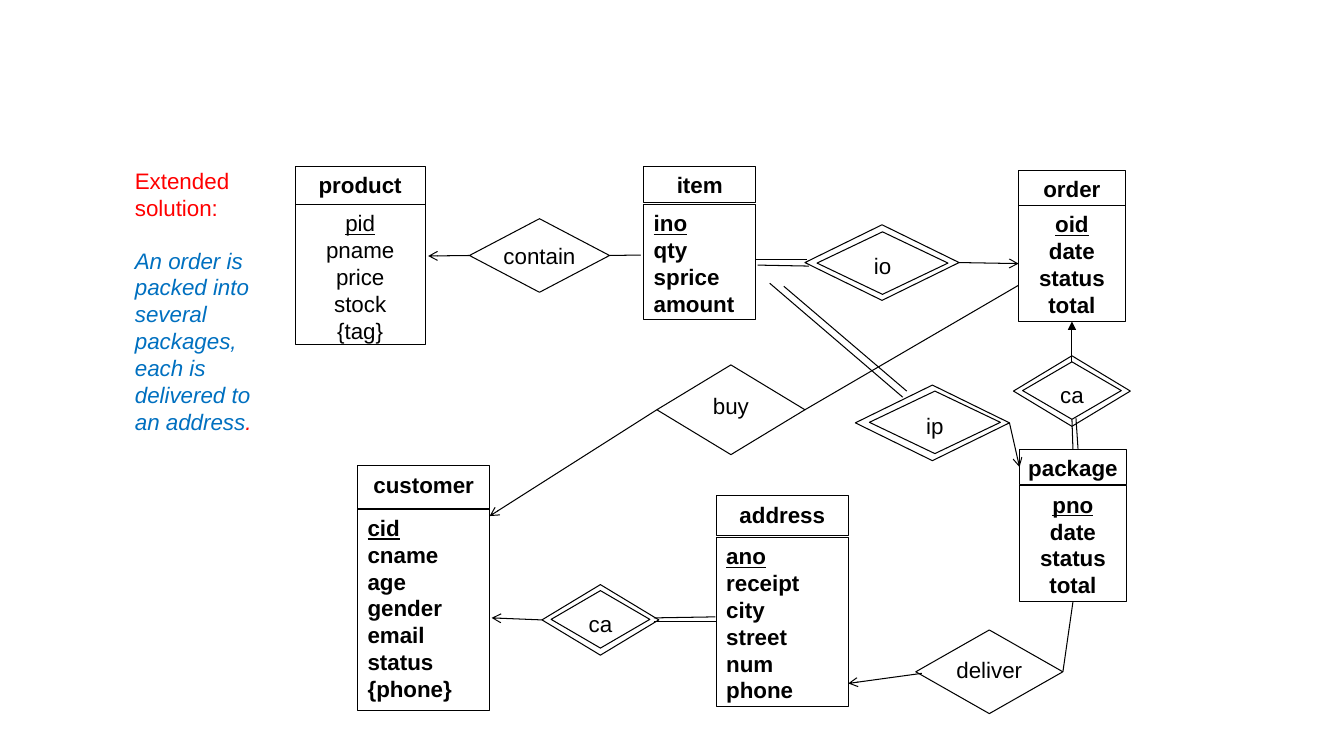
"""Build an entity-relationship diagram slide for orders, packages and addresses."""
from dataclasses import dataclass

from lxml import etree
from pptx import Presentation
from pptx.dml.color import RGBColor
from pptx.enum.shapes import MSO_CONNECTOR, MSO_SHAPE
from pptx.enum.text import MSO_ANCHOR, MSO_AUTO_SIZE, PP_ALIGN
from pptx.oxml.ns import qn
from pptx.util import Inches, Pt

RECTANGLE = MSO_SHAPE.RECTANGLE
DIAMOND = MSO_SHAPE.DIAMOND
STRAIGHT = MSO_CONNECTOR.STRAIGHT
TOP_ANCHOR = MSO_ANCHOR.TOP
GROW = MSO_AUTO_SIZE.SHAPE_TO_FIT_TEXT
LEFT_ALIGN, CENTER_ALIGN = PP_ALIGN.LEFT, PP_ALIGN.CENTER
TOP, LEFT, BOTTOM, RIGHT = range(4)
PX = Inches(1) // 100
SLIDE_SIZE = (1334, 750)


@dataclass(frozen=True)
class Theme:
    font: str = "Arial"
    size: float = 16
    gap: float = 18.4
    line: float = 0.75
    ink: str = "000000"
    red: str = "FF0000"
    blue: str = "0070C0"


THEME = Theme()

NOTE_BOX = (124, 161, 145, 277)
NOTE = [
    [("Extended solution:", THEME.red, False)],
    [("An order is packed into several packages, each is delivered to an address",
      THEME.blue, True), (".", THEME.red, True)],
]

# name: (left, width), (head top, head height), (body top, body height), align, bold, attributes
ENTITIES = {
    "product": ((293, 129), (165, 38), (203, 139), CENTER_ALIGN, False,
                ["pid", "pname", "price", "stock", "{tag}"]),
    "item": ((639, 111), (165, 36), (203, 114), LEFT_ALIGN, True,
             ["ino", "qty", "sprice", "amount"]),
    "order": ((1011, 106), (169, 35), (204, 115), CENTER_ALIGN, True,
              ["oid", "date", "status", "total"]),
    "customer": ((355, 131), (462, 43), (505, 200), LEFT_ALIGN, True,
                 ["cid", "cname", "age", "gender", "email", "status", "{phone}"]),
    "address": ((711, 131), (492, 39), (533, 168), LEFT_ALIGN, True,
                ["ano", "receipt", "city", "street", "num", "phone"]),
    "package": ((1012, 106), (446, 35), (482, 115), CENTER_ALIGN, True,
                ["pno", "date", "status", "total"]),
}

RELATIONSHIPS = {
    "contain": ("contain", (466, 217, 139, 73), None),
    "buy": ("buy", (652, 362, 147, 89), None),
    "deliver": ("deliver", (909, 625, 146, 83), None),
    "io": ("io", (811, 230, 130, 62), (799, 223, 153, 75)),
    "ip": ("ip", (863, 388, 130, 62), (849, 382, 153, 75)),
    "customer ca": ("ca", (547, 586, 98, 57), (538, 580, 116, 70)),
    "order ca": ("ca", (1015, 359, 98, 57), (1006, 353, 116, 70)),
}

LINKS = [
    (("contain", LEFT), (425, 254), "arrow"),
    (("contain", RIGHT), (636, 253), None),
    (("buy", LEFT), (486, 512), "arrow"),
    (("buy", RIGHT), (1011, 283), None),
    (("io outer", RIGHT), ("order body", LEFT), "arrow"),
    ((750, 257), (801, 257), None),
    ((752, 263), (803, 264), None),
    (("ip outer", RIGHT), ("package head", LEFT), "arrow"),
    ((778, 284), (900, 388), None),
    ((764, 281), (896, 394), None),
    (("order ca", TOP), ("order body", BOTTOM), "triangle"),
    (("order ca", BOTTOM), ("package head", TOP), None),
    ((1068, 415), (1070, 445), None),
    (("package body", BOTTOM), ("deliver", RIGHT), None),
    ((915, 668), (842, 678), "arrow"),
    (("customer ca outer", LEFT), (488, 613), "arrow"),
    ((649, 613), (710, 612), None),
    ((649, 617), ("address body", LEFT), None),
]


def scaled(lengths):
    return [length * PX for length in lengths]


def style_font(font, color=THEME.ink, bold=False, italic=False):
    font.name, font.size = THEME.font, Pt(THEME.size)
    font.color.rgb = RGBColor.from_string(color)
    font.bold, font.italic = bold, italic


def style_line(line):
    line.color.rgb = RGBColor.from_string(THEME.ink)
    line.width = Pt(THEME.line)


def add_outline(page, preset, box, lines=(), align=CENTER_ALIGN, bold=False):
    shape = page.shapes.add_shape(preset, *scaled(box))
    shape.shadow.inherit = False
    shape.fill.background()
    style_line(shape.line)
    if lines:
        frame = shape.text_frame
        frame.word_wrap = False
        frame.vertical_anchor = TOP_ANCHOR
        frame.text = "\n".join(lines)
        for para in frame.paragraphs:
            para.alignment = align
            style_font(para.runs[0].font, bold=bold)
    return shape


def add_entity(page, name, shapes):
    (left, width), (head_top, head_height), (body_top, body_height), align, bold, attributes = ENTITIES[name]
    shapes[f"{name} head"] = add_outline(
        page, RECTANGLE, (left, head_top, width, head_height), [name], bold=True)
    body = add_outline(
        page, RECTANGLE, (left, body_top, width, body_height), attributes, align, bold)
    body.text_frame.paragraphs[0].runs[0].font.underline = True
    shapes[f"{name} body"] = body


def add_relationship(page, name, shapes):
    label, inner, outer = RELATIONSHIPS[name]
    shapes[name] = add_outline(page, DIAMOND, inner, [label])
    if outer:
        shapes[f"{name} outer"] = add_outline(page, DIAMOND, outer)


def add_link(page, start, end, arrowhead, shapes):
    joined = [isinstance(point[0], str) for point in (start, end)]
    begin_point = (0, 0) if joined[0] else start
    end_point = (0, 0) if joined[1] else end
    connector = page.shapes.add_connector(STRAIGHT, *scaled(begin_point + end_point))
    if joined[0]:
        connector.begin_connect(shapes[start[0]], start[1])
    if joined[1]:
        connector.end_connect(shapes[end[0]], end[1])
    style_line(connector.line)
    properties = connector.element.spPr
    if arrowhead:
        etree.SubElement(properties.find(qn("a:ln")), qn("a:tailEnd"), type=arrowhead)
    etree.SubElement(properties, qn("a:effectLst"))


def add_note(page):
    frame = page.shapes.add_textbox(*scaled(NOTE_BOX)).text_frame
    frame.word_wrap = True
    frame.auto_size = GROW
    for index, spans in enumerate(NOTE):
        para = frame.add_paragraph() if index else frame.paragraphs[0]
        if index:
            para.space_before = Pt(THEME.gap)
        for text, color, italic in spans:
            span = para.add_run()
            span.text = text
            style_font(span.font, color, italic=italic)


def main():
    deck = Presentation()
    deck.slide_width, deck.slide_height = scaled(SLIDE_SIZE)
    page = deck.slides.add_slide(deck.slide_layouts[6])
    shapes = {}
    for name in ENTITIES:
        add_entity(page, name, shapes)
    for name in RELATIONSHIPS:
        add_relationship(page, name, shapes)
    for start, end, arrowhead in LINKS:
        add_link(page, start, end, arrowhead, shapes)
    add_note(page)
    deck.save("out.pptx")


if __name__ == "__main__":
    main()
